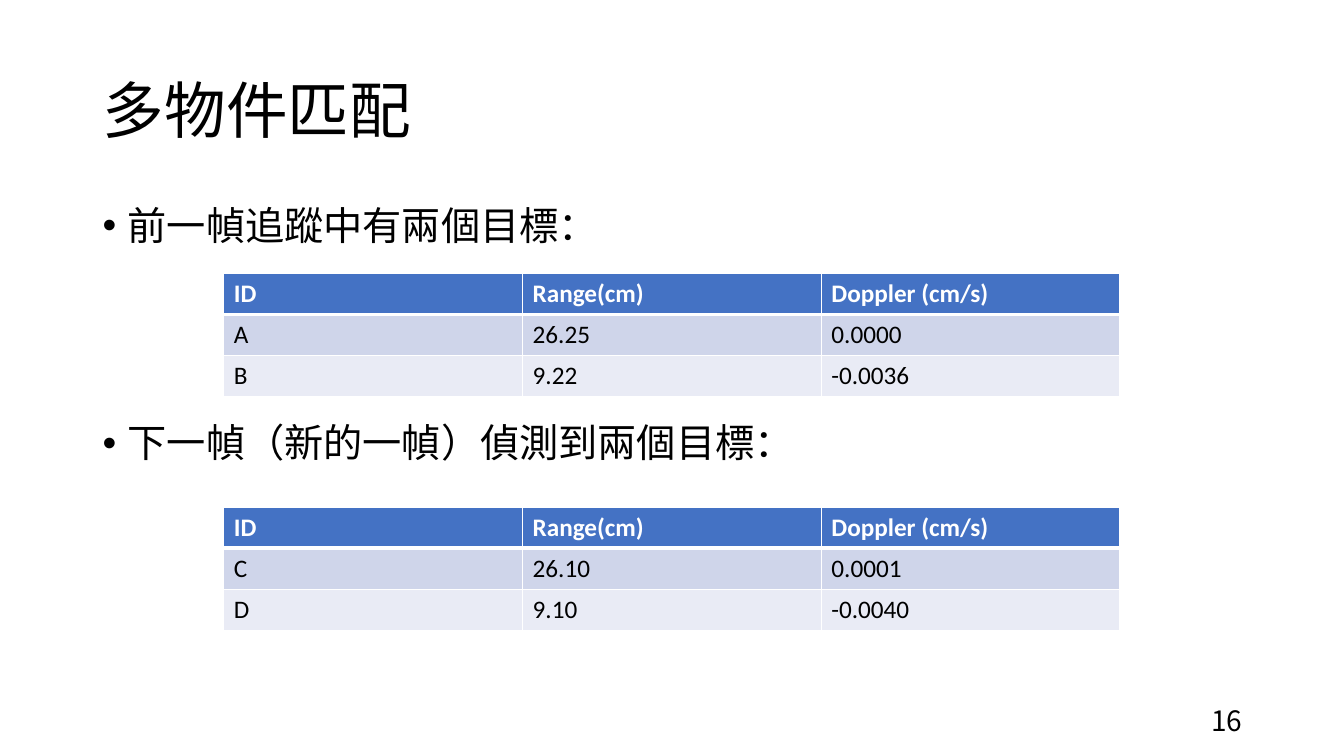
from dataclasses import dataclass

from lxml import etree
from pptx import Presentation, util as u
from pptx.dml.color import RGBColor
from pptx.enum import text
from pptx.oxml.ns import qn


@dataclass(frozen=True)
class Theme:
    ink: str = "000000"
    paper: str = "FFFFFF"
    head: str = "4472C4"
    bands: tuple = ("CFD5EA", "E9EBF5")
    cjk: str = "Noto Sans CJK SC"
    latin: str = "Calibri"
    title: int = 44
    body: int = 28
    cell: int = 18
    page: int = 20
    thin: int = 1
    thick: int = 3


T = Theme()
WIDE, HIGH = 13.33, 7.5
EDGE, SPAN = 0.92, 11.5          # content column
ROW = 0.41                       # table row height
TABLE = (2.22, 8.89)             # left and width of both tables
HEAD = ("ID", "Range(cm)", "Doppler (cm/s)")
FRAMES = (
    (2.71, (("A", "26.25", "0.0000"), ("B", "9.22", "-0.0036"))),
    (5.03, (("C", "26.10", "0.0001"), ("D", "9.10", "-0.0040"))),
)
POINTS = ("前一幀追蹤中有兩個目標：", "下一幀（新的一幀）偵測到兩個目標：")


def inches(box):
    return [u.Inches(n) for n in box]


def add_run(para, words, size, face, color=T.ink, bold=False):
    run = para.add_run()
    run.text = words
    font = run.font
    font.size, font.name, font.bold = u.Pt(size), face, bold
    font.color.rgb = RGBColor.from_string(color)
    east = etree.SubElement(font._element, qn("a:ea"))
    east.set("typeface", T.cjk)


def add_box(slide, box, anchor):
    frame = slide.shapes.add_textbox(*inches(box)).text_frame
    frame.word_wrap = True
    frame.vertical_anchor = anchor
    return frame


# Title
def add_title(slide, box, words):
    shape = slide.shapes.title
    shape.left, shape.top, shape.width, shape.height = inches(box)
    frame = shape.text_frame
    frame.auto_size = text.MSO_AUTO_SIZE.NONE
    frame.vertical_anchor = text.MSO_ANCHOR.MIDDLE
    para = frame.paragraphs[0]
    para.alignment = text.PP_ALIGN.LEFT
    para.line_spacing = 0.9
    add_run(para, words, T.title, T.cjk)


# Bullet list, with room for a table after each point
def add_list(slide, box, points, gap):
    frame = add_box(slide, box, text.MSO_ANCHOR.TOP)
    for i, words in enumerate(points):
        para = frame.add_paragraph() if i else frame.paragraphs[0]
        props = para._p.get_or_add_pPr()
        props.set("marL", str(u.Inches(0.25)))
        props.set("indent", str(-u.Inches(0.25)))
        face = etree.SubElement(props, qn("a:buFont"))
        face.set("typeface", "Arial")
        etree.SubElement(props, qn("a:buChar")).set("char", "•")
        para.line_spacing = 0.9
        para.space_before = u.Pt(gap if i else 0)
        add_run(para, words, T.body, T.cjk)


# Data table
def add_rule(cell, side, width):
    line = etree.SubElement(cell._tc.get_or_add_tcPr(), qn("a:ln" + side))
    line.set("w", str(u.Pt(width)))
    fill = etree.SubElement(line, qn("a:solidFill"))
    etree.SubElement(fill, qn("a:srgbClr")).set("val", T.paper)


def add_grid(slide, box, rows):
    grid = slide.shapes.add_table(len(rows), len(rows[0]), *inches(box)).table
    for r, row in enumerate(rows):
        top = r == 0
        for c, words in enumerate(row):
            cell = grid.cell(r, c)
            for side in "LRTB":
                heavy = (r, side) in ((0, "B"), (1, "T"))
                add_rule(cell, side, T.thick if heavy else T.thin)
            cell.fill.solid()
            shade = T.head if top else T.bands[(r - 1) % 2]
            cell.fill.fore_color.rgb = RGBColor.from_string(shade)
            add_run(cell.text_frame.paragraphs[0], words, T.cell, T.latin,
                    T.paper if top else T.ink, top)


# Page number
def add_page(slide, box, number):
    frame = add_box(slide, box, text.MSO_ANCHOR.MIDDLE)
    para = frame.paragraphs[0]
    para.alignment = text.PP_ALIGN.RIGHT
    add_run(para, number, T.page, T.cjk)


def main():
    deck = Presentation()
    deck.slide_width, deck.slide_height = inches((WIDE, HIGH))
    slide = deck.slides.add_slide(deck.slide_layouts[5])
    add_title(slide, (EDGE, 0.4, SPAN, 1.45), "多物件匹配")
    add_list(slide, (EDGE, 2, SPAN, 4.76), POINTS, gap=125)
    left, width = TABLE
    for top, data in FRAMES:
        rows = (HEAD, *data)
        add_grid(slide, (left, top, width, ROW * len(rows)), rows)
    add_page(slide, (EDGE + SPAN - 3, 6.95, 3, 0.4), "16")
    deck.save("out.pptx")


if __name__ == "__main__":
    main()
